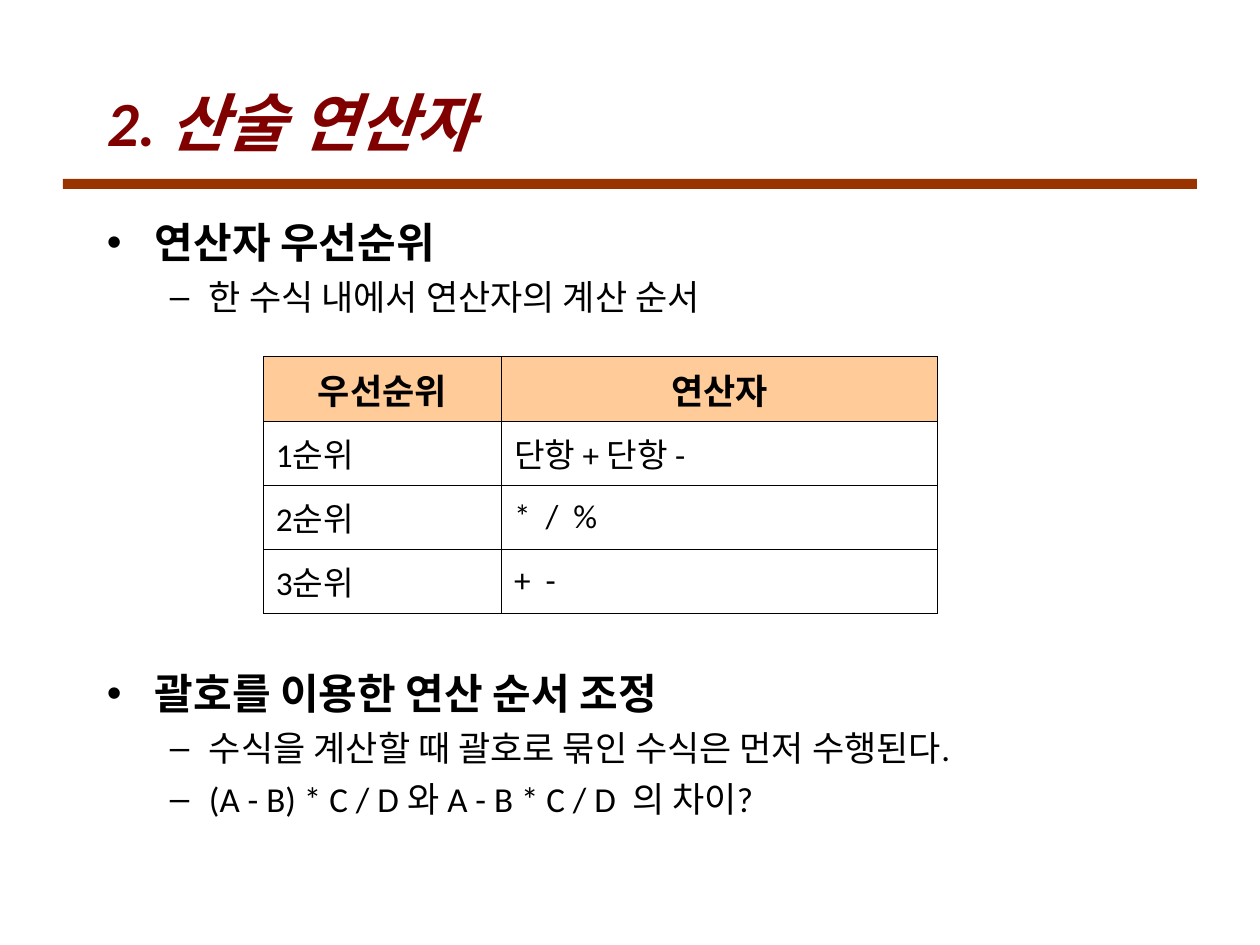
from lxml.etree import SubElement
from pptx import Presentation
from pptx.dml.color import RGBColor
from pptx.enum.shapes import MSO_SHAPE
from pptx.enum.text import MSO_ANCHOR, PP_ALIGN
from pptx.oxml.ns import qn
from pptx.util import Inches, Pt

FONT = "Calibri"
BLACK = RGBColor(0x00, 0x00, 0x00)
MAROON = RGBColor(0x80, 0x00, 0x00)
RUST = RGBColor(0x99, 0x33, 0x00)
PEACH = RGBColor(0xFF, 0xCC, 0x99)

# Per level: bullet, left margin, hanging indent, size, bold, space before
LEVELS = [
    ("•", 0.38, 0.38, 24, True, 6),
    ("–", 0.81, 0.31, 20, False, 5),
]
PRIORITY_TOPIC = [
    (0, "연산자 우선순위"),
    (1, "한 수식 내에서 연산자의 계산 순서"),
]
PARENTHESES_TOPIC = [
    (0, "괄호를 이용한 연산 순서 조정"),
    (1, "수식을 계산할 때 괄호로 묶인 수식은 먼저 수행된다."),
    (1, "(A - B) * C / D 와 A - B * C / D  의 차이?"),
]
PRIORITY_ROWS = [
    ("우선순위", "연산자"),
    ("1순위", "단항 + 단항 -"),
    ("2순위", "*  /  %"),
    ("3순위", "+  -"),
]


def set_font(paragraph, size, color=BLACK, bold=False, italic=False):
    font = paragraph.font
    font.name = FONT
    font.size = Pt(size)
    font.bold = bold
    font.italic = italic
    font.color.rgb = color


def add_text_frame(slide, left, top, width, height):
    box = slide.shapes.add_textbox(Inches(left), Inches(top), Inches(width), Inches(height))
    box.text_frame.word_wrap = True
    return box.text_frame


def add_title(slide, text, left, top, width, height):
    frame = add_text_frame(slide, left, top, width, height)
    frame.vertical_anchor = MSO_ANCHOR.MIDDLE
    paragraph = frame.paragraphs[0]
    paragraph.text = text
    set_font(paragraph, 36, MAROON, bold=True, italic=True)


def add_rule(slide, left, top, width, height):
    shape = slide.shapes.add_shape(
        MSO_SHAPE.RECTANGLE, Inches(left), Inches(top), Inches(width), Inches(height))
    shape.shadow.inherit = False
    shape.fill.solid()
    shape.fill.fore_color.rgb = RUST
    shape.line.fill.background()


def add_bullet(paragraph, character, margin, hanging):
    properties = paragraph._p.get_or_add_pPr()
    properties.set("marL", str(Inches(margin)))
    properties.set("indent", str(-Inches(hanging)))
    SubElement(properties, qn("a:buFont"), typeface="Arial")
    SubElement(properties, qn("a:buChar"), char=character)


def add_topic(slide, items, left, top, width, height):
    frame = add_text_frame(slide, left, top, width, height)
    for index, (level, text) in enumerate(items):
        character, margin, hanging, size, bold, space = LEVELS[level]
        paragraph = frame.add_paragraph() if index else frame.paragraphs[0]
        paragraph.text = text
        paragraph.level = level
        add_bullet(paragraph, character, margin, hanging)
        paragraph.space_before = Pt(space if index else 0)
        set_font(paragraph, size, bold=bold)


def add_borders(cell):
    properties = cell._tc.get_or_add_tcPr()
    for position, side in enumerate(("a:lnL", "a:lnR", "a:lnT", "a:lnB")):
        line = SubElement(properties, qn(side), w=str(Pt(0.06)))
        fill = SubElement(line, qn("a:solidFill"))
        SubElement(fill, qn("a:srgbClr"), val=str(BLACK))
        properties.insert(position, line)


def add_priority_table(slide, left, top, column_widths, row_height):
    table = slide.shapes.add_table(
        len(PRIORITY_ROWS), len(column_widths), Inches(left), Inches(top),
        Inches(sum(column_widths)), Inches(row_height * len(PRIORITY_ROWS))).table
    for column, width in zip(table.columns, column_widths):
        column.width = Inches(width)
    for row_index, row in enumerate(PRIORITY_ROWS):
        header = row_index == 0
        for column_index, text in enumerate(row):
            cell = table.cell(row_index, column_index)
            cell.vertical_anchor = MSO_ANCHOR.MIDDLE
            if header:
                cell.fill.solid()
                cell.fill.fore_color.rgb = PEACH
            else:
                cell.fill.background()
            add_borders(cell)
            paragraph = cell.text_frame.paragraphs[0]
            paragraph.text = text
            paragraph.alignment = PP_ALIGN.CENTER if header else PP_ALIGN.JUSTIFY
            set_font(paragraph, 20 if header else 19, bold=header)


def main():
    presentation = Presentation()
    presentation.slide_width = Inches(10)
    presentation.slide_height = Inches(7.5)
    slide = presentation.slides.add_slide(presentation.slide_layouts[6])

    # Heading
    add_rule(slide, 0.5, 1.42, 9, 0.08)
    add_title(slide, "2. 산술 연산자", 0.75, 0.5, 8.5, 0.92)

    # Topics, with the priority table between them
    add_topic(slide, PRIORITY_TOPIC, 0.75, 1.67, 8.98, 1)
    add_priority_table(slide, 2.09, 2.83, (1.89, 3.46), 0.51)
    add_topic(slide, PARENTHESES_TOPIC, 0.75, 5.25, 8.98, 1.5)

    presentation.save("out.pptx")


if __name__ == "__main__":
    main()
